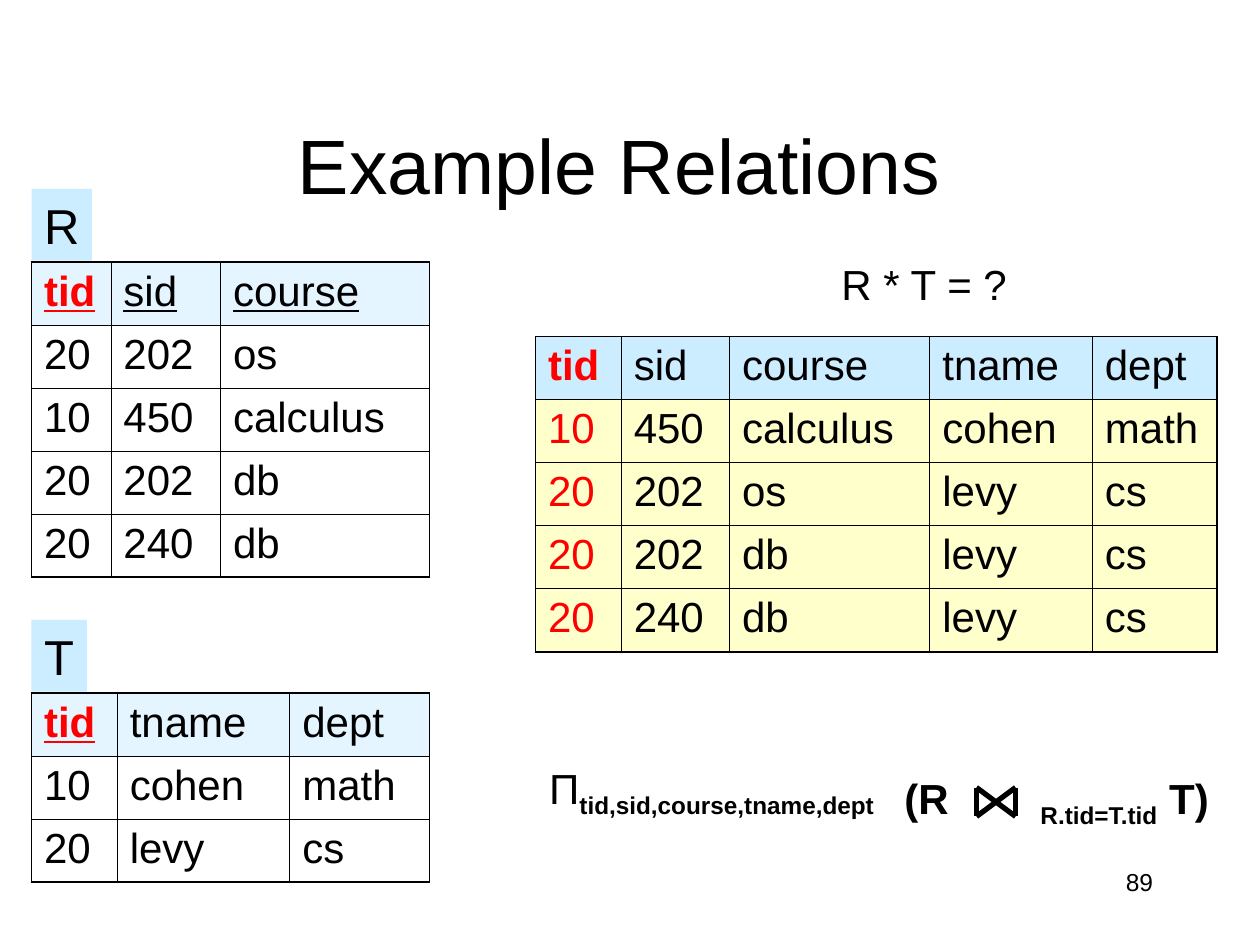
from dataclasses import dataclass

from lxml import etree
from pptx import Presentation
from pptx.dml.color import RGBColor
from pptx.enum.shapes import MSO_CONNECTOR, MSO_SHAPE
from pptx.enum.text import MSO_ANCHOR, MSO_AUTO_SIZE, PP_ALIGN
from pptx.oxml.ns import qn
from pptx.util import Inches, Pt

LEFT, CENTER, RIGHT = PP_ALIGN.LEFT, PP_ALIGN.CENTER, PP_ALIGN.RIGHT
TOP, MIDDLE = MSO_ANCHOR.TOP, MSO_ANCHOR.MIDDLE
GROW = MSO_AUTO_SIZE.SHAPE_TO_FIT_TEXT
RECT, LINE = MSO_SHAPE.RECTANGLE, MSO_CONNECTOR.STRAIGHT


@dataclass(frozen=True)
class Theme:
    font: str = "Arial"
    ink: str = "000000"
    key: str = "FF0000"
    blue: str = "CCECFF"
    cream: str = "FFFFCC"
    title: float = 44
    label: float = 28
    body: float = 24
    page: float = 14
    thin: float = 0.45
    thick: float = 1.08
    bow: float = 3
    row: float = 0.5


THEME = Theme()


def rgb(code):
    return RGBColor.from_string(code)


def write(frame, *parts, size=THEME.body, color=THEME.ink, bold=False,
          under=False, align=LEFT, anchor=TOP, wrap=True, grow=False):
    """Fill a frame with parts: text, or (text, own format) pairs."""
    frame.word_wrap = wrap
    frame.vertical_anchor = anchor
    if grow:
        frame.auto_size = GROW
    para = frame.paragraphs[0]
    para.alignment = align
    for part in parts:
        text, own = (part, {}) if isinstance(part, str) else part
        run = para.add_run()
        run.text = text
        font = run.font
        font.name, font.size = THEME.font, Pt(size)
        font.color.rgb = rgb(color)
        font.bold = own.get("bold", bold)
        font.underline = under
        if "base" in own:
            run._r.get_or_add_rPr().set("baseline", str(own["base"] * 1000))


def add_text(shapes, box, *parts, **form):
    area = shapes.add_textbox(*map(Inches, box))
    write(area.text_frame, *parts, **form)


def paint(cell, color, alpha=None):
    if not color:
        cell.fill.background()
        return
    cell.fill.solid()
    cell.fill.fore_color.rgb = rgb(color)
    if alpha:
        tone = cell._tc.tcPr.find(".//" + qn("a:srgbClr"))
        etree.SubElement(tone, qn("a:alpha")).set("val", str(alpha * 1000))


def frame_cell(cell, outer):
    """Draw the four borders, thick on the outer sides of the table."""
    props = cell._tc.get_or_add_tcPr()
    for spot, side in enumerate("LRTB"):
        width = THEME.thick if side in outer else THEME.thin
        line = etree.Element(qn("a:ln" + side), w=str(Pt(width)))
        fill = etree.SubElement(line, qn("a:solidFill"))
        etree.SubElement(fill, qn("a:srgbClr")).set("val", THEME.ink)
        props.insert(spot, line)


def add_grid(slide, left, top, widths, rows, alpha=None, fill=None,
             under=(), keys=False):
    """Place a relation; keys colours the whole first column."""
    last, end = len(rows) - 1, len(widths) - 1
    table = slide.shapes.add_table(
        len(rows), len(widths), Inches(left), Inches(top),
        Inches(sum(widths)), Inches(THEME.row * len(rows))).table
    table.first_row = table.horz_banding = False
    for col, width in zip(table.columns, widths):
        col.width = Inches(width)
    for r, row in enumerate(rows):
        table.rows[r].height = Inches(THEME.row)
        for c, text in enumerate(row):
            cell, head = table.cell(r, c), r == 0
            red = c == 0 and (head or keys)
            write(cell.text_frame, text, bold=head and c == 0,
                  color=THEME.key if red else THEME.ink,
                  under=head and text in under)
            paint(cell, THEME.blue if head else fill, alpha if head else None)
            edges = {"L": c == 0, "R": c == end, "T": head, "B": r == last}
            frame_cell(cell, [side for side, on in edges.items() if on])


def add_label(slide, left, top, width, text):
    tag = slide.shapes.add_shape(
        RECT, *map(Inches, (left, top, width, 0.57)))
    tag.shadow.inherit = False
    tag.fill.solid()
    tag.fill.fore_color.rgb = rgb(THEME.blue)
    tag.line.fill.background()
    write(tag.text_frame, text, size=THEME.label, align=CENTER,
          wrap=False, grow=True)


def add_named(slide, left, top, name, wide, widths, rows, under):
    """Place a relation with its name tag above it."""
    add_label(slide, left, top, wide, name)
    add_grid(slide, left, top + 0.58, widths, rows, alpha=50, under=under)


def add_bow(shapes, left, top, width, height):
    """Draw the join sign: two sides and two diagonals."""
    right, base = left + width, top + height
    for ends in ((left, top, left, base), (right, top, right, base),
                 (left, top, right, base), (right, top, left, base)):
        line = shapes.add_connector(LINE, *map(Inches, ends))
        line.line.color.rgb = rgb(THEME.ink)
        line.line.width = Pt(THEME.bow)
        etree.SubElement(line._element.spPr, qn("a:effectLst"))


def add_formula(slide, left, top):
    shapes = slide.shapes.add_group_shape().shapes
    sub = {"bold": True, "base": -25}
    add_text(shapes, (left + 2.82, top + 0.08, 3.28, 0.5), "(R",
             bold=True, grow=True)
    add_text(shapes, (left + 3.9, top + 0.08, 1.56, 0.56),
             ("R.tid=T.tid", sub), " T)", bold=True, wrap=False, grow=True)
    add_bow(shapes, left + 3.49, top + 0.25, 0.31, 0.23)
    add_text(shapes, (left, top, 2.78, 0.56), "Π",
             ("tid,sid,course,tname,dept", sub), wrap=False, grow=True)


def main():
    deck = Presentation()
    deck.slide_width, deck.slide_height = Inches(10), Inches(7.5)
    slide = deck.slides.add_slide(deck.slide_layouts[6])

    # Title
    add_text(slide.shapes, (0.75, 0.67, 8.5, 1.25), "Example Relations ",
             size=THEME.title, align=CENTER, anchor=MIDDLE)

    # Source relations
    add_named(slide, 0.25, 1.5, "R", 0.48, (0.63, 0.87, 1.66), (
        ("tid", "sid", "course"),
        ("20", "202", "os"),
        ("10", "450", "calculus"),
        ("20", "202", "db"),
        ("20", "240", "db")), under=("tid", "sid", "course"))
    add_named(slide, 0.25, 4.92, "T", 0.44, (0.68, 1.37, 1.11), (
        ("tid", "tname", "dept"),
        ("10", "cohen", "math"),
        ("20", "levy", "cs")), under=("tid",))

    # Joined relation
    add_text(slide.shapes, (6.58, 2, 1.58, 0.5), "R * T = ?", grow=True)
    add_grid(slide, 4.25, 2.67, (0.68, 0.86, 1.59, 1.29, 0.99), (
        ("tid", "sid", "course", "tname", "dept"),
        ("10", "450", "calculus", "cohen", "math"),
        ("20", "202", "os", "levy", "cs"),
        ("20", "202", "db", "levy", "cs"),
        ("20", "240", "db", "levy", "cs")), fill=THEME.cream, keys=True)

    # Algebra and page number
    add_formula(slide, 4.26, 6)
    add_text(slide.shapes, (7.17, 6.83, 2.08, 0.5), "89",
             size=THEME.page, align=RIGHT)

    deck.save("out.pptx")


if __name__ == "__main__":
    main()
